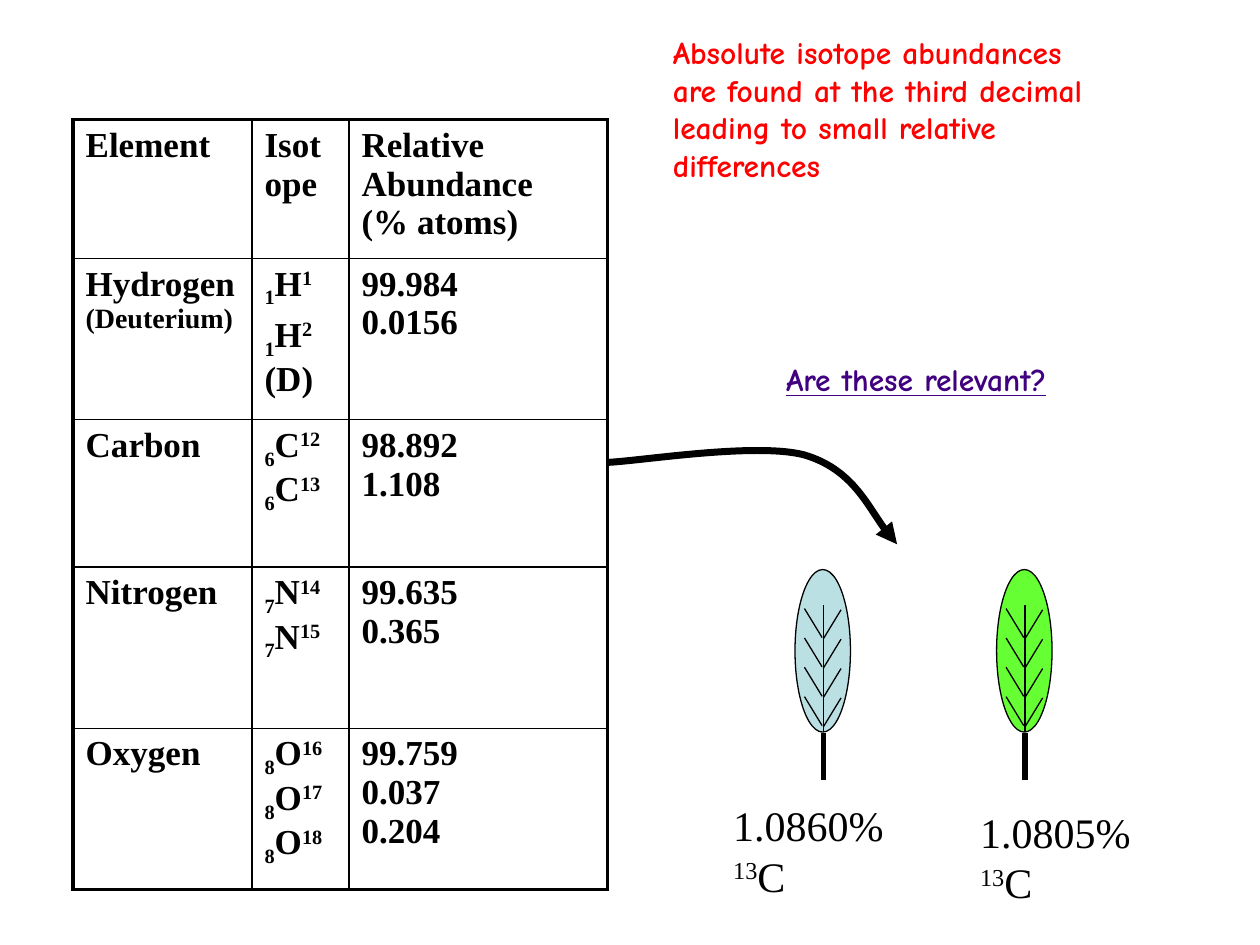
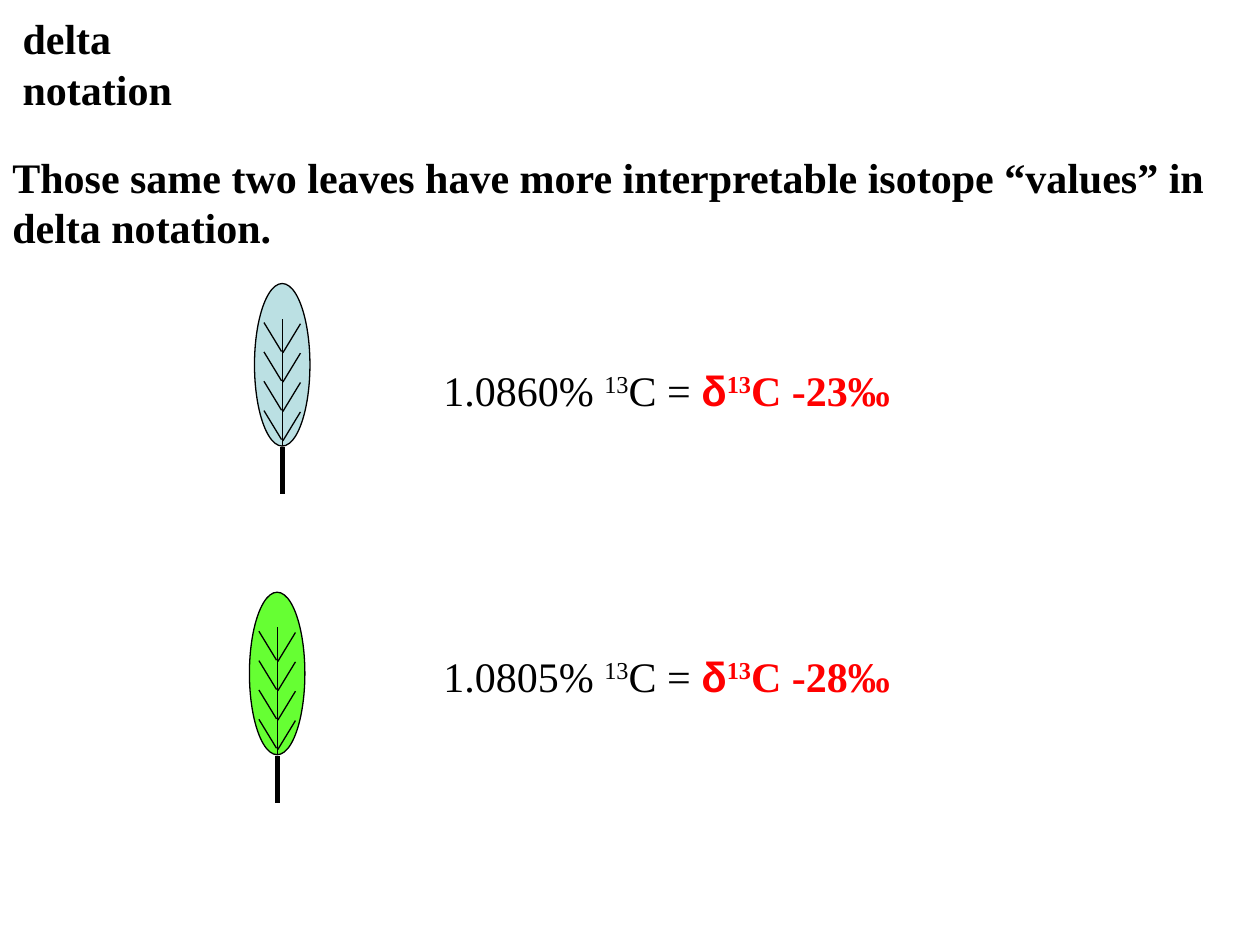
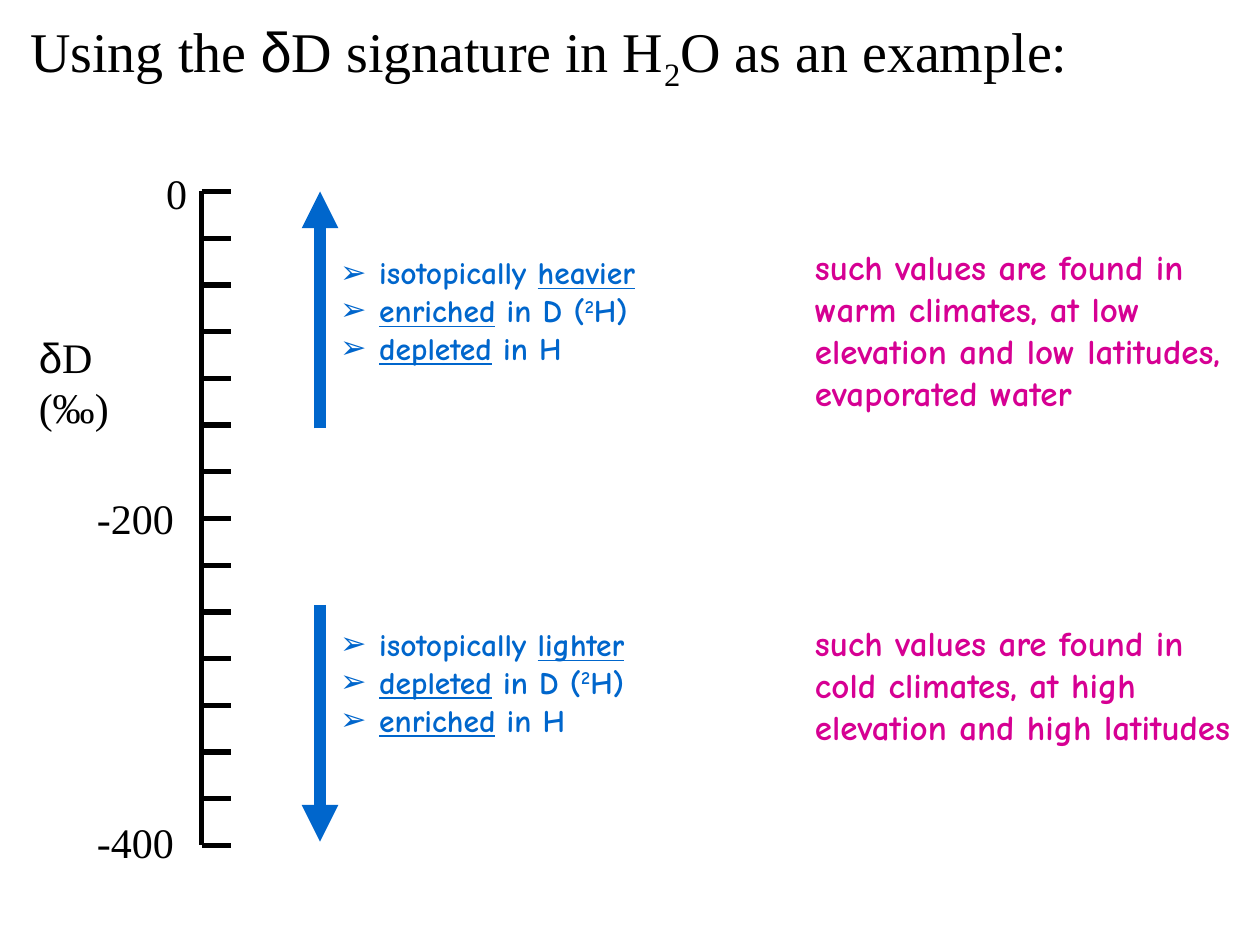
from lxml.etree import SubElement
from pptx import Presentation
from pptx.dml.color import RGBColor
from pptx.enum.shapes import MSO_CONNECTOR as Connector, MSO_SHAPE as Preset
from pptx.enum.text import MSO_ANCHOR as Anchor, MSO_AUTO_SIZE as AutoSize, PP_ALIGN as Align
from pptx.oxml.ns import qn
from pptx.util import Inches, Pt

SERIF, COMIC, GREEK = "Times New Roman", "Comic Neue", "Arial"
BLACK, RED, PURPLE, BLUE, PINK = "000000", "FF0000", "400080", "0066CC", "D60093"
PALE_LEAF, GREEN_LEAF = "BBE0E3", "66FF33"
BASELINES = {"^": "30000", "_": "-25000"}
color_of = RGBColor.from_string

presentation = Presentation()
presentation.slide_width, presentation.slide_height = Inches(10), Inches(7.5)
cell = presentation.slide_width // 100
layouts = presentation.slide_layouts
abundance_slide, delta_slide, water_slide = [
    presentation.slides.add_slide(layouts[index]) for index in (5, 5, 3)
]


def write(paragraph, markup, size, name, color, bold=False):
    for piece in markup.split("|"):
        if piece == "\n":
            paragraph.add_line_break()
            continue
        mark = piece[0] if piece[0] in "^_*~" else ""
        run = paragraph.add_run()
        run.text = piece[len(mark):]
        font = run.font
        font.size = Pt(16 if mark == "~" else size)
        font.name = GREEK if piece == "δ" else name
        font.color.rgb = color_of(color)
        font.bold = bold
        font.underline = mark == "*"
        if mark in BASELINES:
            run._r.get_or_add_rPr().set("baseline", BASELINES[mark])


def draw_line(shapes, start, end, width, color=BLACK, arrow=False):
    ends = [int(value * cell) for value in (*start, *end)]
    connector = shapes.add_connector(Connector.STRAIGHT, *ends)
    connector.line.color.rgb = color_of(color)
    connector.line.width = Pt(width)
    properties = connector._element.spPr
    if arrow:
        SubElement(properties.find(qn("a:ln")), qn("a:tailEnd"), type="triangle")
    SubElement(properties, qn("a:effectLst"))


titles = [
    (abundance_slide, (52.4, 2.1, 38.1, 25.2), 18, COMIC, RED, True,
     "Absolute isotope abundances|\n|are found at the third decimal|\n|"
     "leading to small relative differences"),
    (delta_slide, (0.8, 0.5, 16.9, 9), 24, SERIF, BLACK, True, "delta notation"),
    (water_slide, (1.4, 0.8, 97.1, 7.2), 32, SERIF, BLACK, False,
     "Using the |δ|D signature in H|_2|O as an example:"),
]
for slide, box, size, name, color, bold, markup in titles:
    title = slide.shapes.title
    title.left, title.top, title.width, title.height = [int(value * cell) for value in box]
    frame = title.text_frame
    frame.auto_size, frame.vertical_anchor = AutoSize.NONE, Anchor.TOP
    frame.paragraphs[0].alignment = Align.LEFT
    write(frame.paragraphs[0], markup, size, name, color, bold)

texts = [
    (abundance_slide, (57.2, 63, 15.9, 9), 24, SERIF, BLACK, False, "1.0860%|\n|^13|C"),
    (abundance_slide, (76.8, 63.5, 15.9, 9), 24, SERIF, BLACK, False, "1.0805%|\n|^13|C"),
    (abundance_slide, (61.4, 28.1, 26.4, 4.5), 18, COMIC, PURPLE, True, "*Are these relevant?"),
    (delta_slide, (0, 11.5, 100, 10.3), 24, SERIF, BLACK, True,
     "Those same two leaves have more interpretable isotope “values” in delta notation."),
    (water_slide, (12.2, 12.8, 4, 5.7), 24, SERIF, BLACK, False, "0"),
    (water_slide, (6.7, 38.6, 9.5, 5.7), 24, SERIF, BLACK, False, "-200"),
    (water_slide, (6.7, 64.3, 9.5, 5.7), 24, SERIF, BLACK, False, "-400"),
    (water_slide, (2.1, 25.8, 9.7, 10.3), 24, SERIF, BLACK, False, "δ|D (‰)"),
    (water_slide, (63.7, 19, 36.3, 20.4), 20, COMIC, PINK, True,
     "such values are found in warm climates, at low elevation and low latitudes, "
     "evaporated water"),
    (water_slide, (63.7, 48.8, 36.3, 16.5), 20, COMIC, PINK, True,
     "such values are found in cold climates, at high elevation and high latitudes"),
]
for slide, box, size, name, color, bold, markup in texts:
    frame = slide.shapes.add_textbox(*[int(value * cell) for value in box]).text_frame
    frame.word_wrap = True
    write(frame.paragraphs[0], markup, size, name, color, bold)

for top, percent, delta in [(28.4, "1.0860", "-23"), (51.1, "1.0805", "-28")]:
    box = [int(value * cell) for value in (34.2, top, 43.6, 5.7)]
    frame = delta_slide.shapes.add_textbox(*box).text_frame
    frame.word_wrap = True
    write(frame.paragraphs[0], f"{percent}% |^13|C = ", 24, SERIF, BLACK)
    write(frame.paragraphs[0], f"δ|^13|C {delta}‰", 24, SERIF, RED, True)

isotope_rows = [
    (11, ["Element"], ["Isotope"], ["Relative|\n|Abundance|\n|(% atoms)"]),
    (12.8, ["Hydrogen|\n|~(Deuterium)"], ["_1|H|^1", "_1|H|^2|\n|(D)"], ["99.984|\n|0.0156"]),
    (11.7, ["Carbon"], ["_6|C|^12|\n|_6|C|^13"], ["98.892|\n|1.108"]),
    (12.8, ["Nitrogen"], ["_7|N|^14|\n|_7|N|^15"], ["99.635|\n|0.365"]),
    (12.8, ["Oxygen"], ["_8|O|^16|\n|_8|O|^17|\n|_8|O|^18"], ["99.759|\n|0.037|\n|0.204"]),
]
column_widths = [14.2, 7.7, 20.5]
last_row, last_column = len(isotope_rows) - 1, len(column_widths) - 1
table_box = [int(value * cell) for value in (5.8, 9.5, 42.4, 61.1)]
table = abundance_slide.shapes.add_table(last_row + 1, last_column + 1, *table_box).table
table.first_row = table.horz_banding = False
for column, width in zip(table.columns, column_widths):
    column.width = int(width * cell)
for row_index, (height, *entries) in enumerate(isotope_rows):
    table.rows[row_index].height = int(height * cell)
    for column_index, lines in enumerate(entries):
        table_cell = table.cell(row_index, column_index)
        properties = table_cell._tc.get_or_add_tcPr()
        outer_edges = {"a:lnL": column_index == 0, "a:lnR": column_index == last_column,
                       "a:lnT": row_index == 0, "a:lnB": row_index == last_row}
        for edge, outer in outer_edges.items():
            border = SubElement(properties, qn(edge), w=str(Pt(2.25 if outer else 1)))
            border_fill = SubElement(border, qn("a:solidFill"))
            SubElement(border_fill, qn("a:srgbClr"), val=BLACK)
        table_cell.fill.background()
        frame = table_cell.text_frame
        for index, markup in enumerate(lines):
            paragraph = frame.add_paragraph() if index else frame.paragraphs[0]
            if index:
                paragraph.space_before = Pt(4)
            write(paragraph, markup, 20, SERIF, BLACK, True)

curve_points = [(48.2, 36.7), (50.8, 36.6), (59.9, 35.1), (63.8, 36.1),
                (67.6, 37.2), (69.7, 41.7), (71.2, 43.2)]
start, *controls = [(int(x * cell), int(y * cell)) for x, y in curve_points]
builder = abundance_slide.shapes.build_freeform(*start)
builder.add_line_segments(controls, close=False)
curved_arrow = builder.convert_to_shape()
curved_arrow.shadow.inherit = False
curved_arrow.fill.background()
curved_arrow.line.color.rgb = color_of(BLACK)
curved_arrow.line.width = Pt(4)
SubElement(curved_arrow._element.spPr.find(qn("a:ln")), qn("a:tailEnd"), type="triangle")
outline = curved_arrow._element.xpath(".//a:path")[0]
segments = outline.findall(qn("a:lnTo"))
for index in range(0, len(segments), 3):
    bezier = SubElement(outline, qn("a:cubicBezTo"))
    for segment in segments[index:index + 3]:
        bezier.append(segment[0])
        outline.remove(segment)

leaves = [
    (abundance_slide, 79.1, 45.2, GREEN_LEAF),
    (abundance_slide, 63.1, 45.2, PALE_LEAF),
    (delta_slide, 19.8, 47, GREEN_LEAF),
    (delta_slide, 20.2, 22.5, PALE_LEAF),
]
for slide, left, top, color in leaves:
    leaf = slide.shapes.add_group_shape().shapes
    blade_box = [int(value * cell) for value in (left, top, 4.4, 12.9)]
    blade = leaf.add_shape(Preset.OVAL, *blade_box)
    blade.shadow.inherit = False
    blade.fill.solid()
    blade.fill.fore_color.rgb = color_of(color)
    blade.line.color.rgb = color_of(BLACK)
    blade.line.width = Pt(0.75)
    middle = left + 2.25
    draw_line(leaf, (middle, top + 12.9), (middle, top + 2.8), 0.75)
    for vein in range(4):
        base = top + 5.4 + vein * 2.33
        draw_line(leaf, (middle - 0.1, base), (middle - 1.5, base - 2.3), 0.75)
        draw_line(leaf, (middle, base + 0.1), (middle + 1.4, base - 2.2), 0.75)
    draw_line(leaf, (middle, top + 13), (middle, top + 16.7), 3)

axis_left, axis_top, axis_bottom, intervals = 16, 15.2, 67.1, 14
axis = water_slide.shapes.add_group_shape().shapes
draw_line(axis, (axis_left, axis_top), (axis_left, axis_bottom), 3)
for tick in range(intervals + 1):
    height = axis_top + tick * (axis_bottom - axis_top) / intervals
    draw_line(axis, (axis_left, height), (axis_left + 2.3, height), 3)
draw_line(water_slide.shapes, (25.4, 34), (25.4, 15.2), 7, BLUE, True)
draw_line(water_slide.shapes, (25.4, 48), (25.4, 66.8), 7, BLUE, True)

trends = [
    (19.6, ["isotopically |*heavier", "*enriched| in D (|^2|H)", "*depleted| in H"]),
    (49.1, ["isotopically |*lighter", "*depleted| in D (|^2|H)", "*enriched| in H"]),
]
for body, (top, lines) in zip(list(water_slide.placeholders)[1:], trends):
    body.left, body.top, body.width, body.height = [
        int(value * cell) for value in (26, top, 43, 15)
    ]
    frame = body.text_frame
    frame.auto_size = AutoSize.NONE
    for index, markup in enumerate(lines):
        paragraph = frame.add_paragraph() if index else frame.paragraphs[0]
        properties = paragraph._p.get_or_add_pPr()
        properties.set("marL", str(int(3.1 * cell)))
        properties.set("indent", str(int(-3.1 * cell)))
        SubElement(properties, qn("a:buFont"), typeface=GREEK)
        SubElement(properties, qn("a:buChar"), char="➢")
        paragraph.space_before = Pt(0)
        write(paragraph, markup, 18, COMIC, BLUE, True)

presentation.save("out.pptx")
